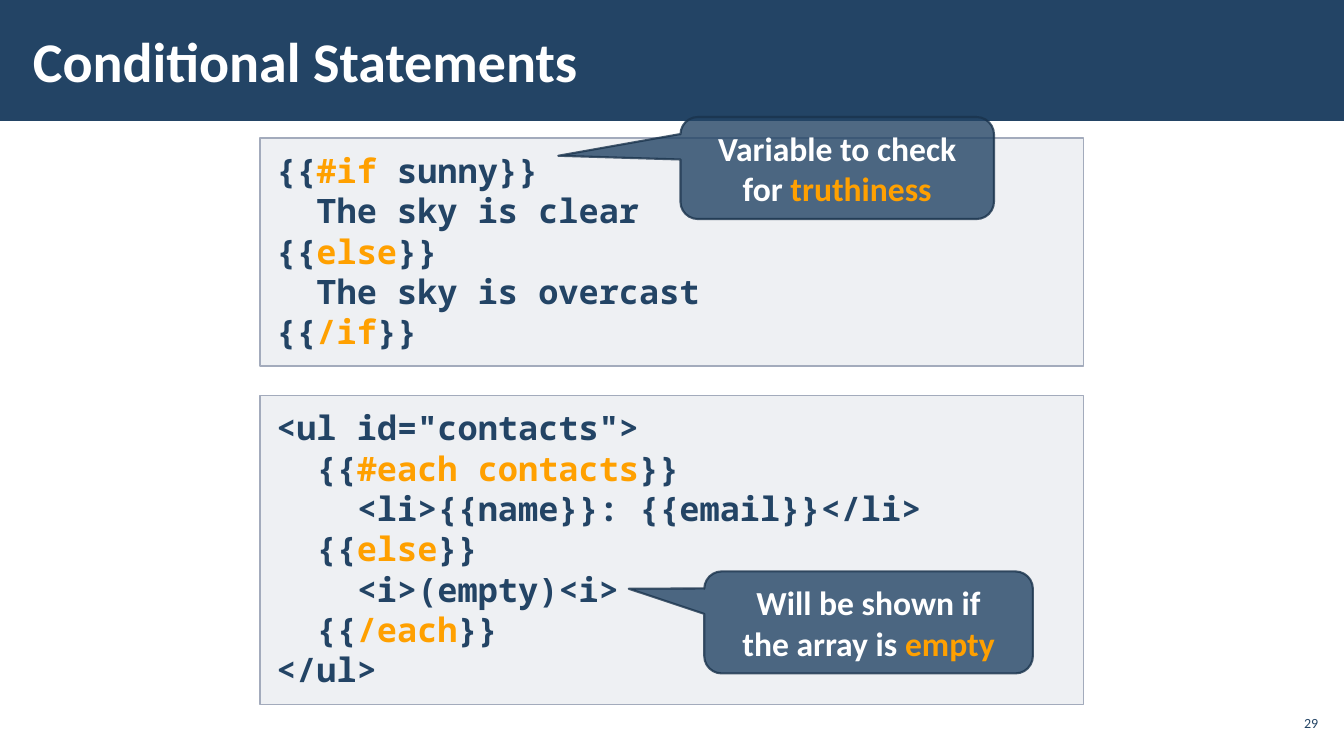
"""Build a slide on conditional statements in templates."""
import dataclasses

import lxml.etree
import pptx
import pptx.dml.color
import pptx.enum.shapes
import pptx.enum.text
import pptx.oxml.ns
import pptx.util

Cm = pptx.util.Cm
Kind = pptx.enum.shapes.MSO_SHAPE
Align = pptx.enum.text.PP_ALIGN
Anchor = pptx.enum.text.MSO_ANCHOR

NAVY, WHITE, ORANGE = "234465", "FFFFFF", "FFA000"
GREY, EDGE, DARK = "ADB4C3", "A3ABBC", "1A334C"
MARK = "|"


@dataclasses.dataclass
class Box:
    left: float
    top: float
    width: float
    height: float

    def place(self) -> tuple:
        return Cm(self.left), Cm(self.top), Cm(self.width), Cm(self.height)


@dataclasses.dataclass
class Style:
    font: str
    size: int
    color: str
    bold: bool = True
    align: Align = Align.LEFT
    anchor: Anchor = Anchor.MIDDLE
    inset: tuple = (0.25, 0.13)


@dataclasses.dataclass
class Code:
    top: float
    height: float
    lines: tuple


@dataclasses.dataclass
class Note:
    box: Box
    tip: tuple
    lines: tuple


TITLE = Style("Calibri", 40, WHITE, inset=(0.3, 0.1))
NUMBER = Style("Calibri", 10, NAVY, bold=False, align=Align.RIGHT, inset=(0.1, 0.1))
CODE = Style("Noto Sans Mono", 24, NAVY, anchor=Anchor.TOP, inset=(0.41, 0.3))
NOTE = Style("Calibri", 24, WHITE, align=Align.CENTER)

CODES = (
    Code(3.48, 5.74, (
        "{{|#if| sunny}}",
        "  The sky is clear",
        "{{|else|}}",
        "  The sky is overcast",
        "{{|/if|}}",
    )),
    Code(9.96, 7.8, (
        '<ul id="contacts">',
        "  {{|#each contacts|}}",
        "    <li>{{name}}: {{email}}</li>",
        "  {{|else|}}",
        "    <i>(empty)<i>",
        "  {{|/each|}}",
        "</ul>",
    )),
)
NOTES = (
    Note(Box(17.15, 2.95, 7.9, 2.57), (-0.89, -0.12, 0.17),
         ("Variable to check", "for |truthiness|")),
    Note(Box(17.75, 14.4, 8.28, 2.57), (-0.73, -0.33, 0.17),
         ("Will be shown if", "the array is |empty|")),
)


def paint(target, color: str, alpha: int = 100) -> None:
    target.solid()
    target.fore_color.rgb = pptx.dml.color.RGBColor.from_string(color)
    if alpha < 100:
        tag = pptx.oxml.ns.qn("a:srgbClr")
        node = next(target._xPr.iter(tag))
        lxml.etree.SubElement(node, pptx.oxml.ns.qn("a:alpha"), val=str(alpha * 1000))


def write(shape, lines: tuple, style: Style) -> None:
    frame = shape.text_frame
    frame.word_wrap = True
    frame.vertical_anchor = style.anchor
    side, end = style.inset
    frame.margin_left = frame.margin_right = Cm(side)
    frame.margin_top = frame.margin_bottom = Cm(end)
    for row, line in enumerate(lines):
        para = frame.add_paragraph() if row else frame.paragraphs[0]
        para.alignment = style.align
        para.font.name = style.font
        para.font.size = pptx.util.Pt(style.size)
        para.font.bold = style.bold
        paint(para.font.fill, style.color)
        for index, text in enumerate(line.split(MARK)):
            if text:
                run = para.add_run()
                run.text = text
                if index % 2:
                    paint(run.font.fill, ORANGE)


def add_shape(slide, kind: Kind, box: Box, color: str, alpha: int = 100):
    shape = slide.shapes.add_shape(kind, *box.place())
    shape.shadow.inherit = False
    paint(shape.fill, color, alpha)
    shape.line.fill.background()
    return shape


def add_text(slide, box: Box, text: str, style: Style) -> None:
    write(slide.shapes.add_textbox(*box.place()), (text,), style)


def add_code(slide, code: Code) -> None:
    box = Box(6.55, code.top, 20.75, code.height)
    shape = add_shape(slide, Kind.RECTANGLE, box, GREY, 20)
    paint(shape.line.fill, EDGE)
    shape.line.width = pptx.util.Pt(1)
    write(shape, code.lines, CODE)


def add_note(slide, note: Note) -> None:
    shape = add_shape(slide, Kind.ROUNDED_RECTANGULAR_CALLOUT, note.box, NAVY, 80)
    for index, value in enumerate(note.tip):
        shape.adjustments[index] = value
    paint(shape.line.fill, DARK, 80)
    shape.line.width = pptx.util.Pt(1.5)
    write(shape, note.lines, NOTE)


def main() -> None:
    deck = pptx.Presentation()
    deck.slide_width, deck.slide_height = Cm(33.87), Cm(19.05)
    slide = deck.slides.add_slide(deck.slide_layouts[6])
    add_shape(slide, Kind.RECTANGLE, Box(0, 0, 33.87, 3.05), NAVY)
    add_text(slide, Box(0.53, 0.28, 26.39, 2.46), "Conditional Statements", TITLE)
    add_text(slide, Box(32.13, 17.78, 1.19, 0.86), "29", NUMBER)
    for code, note in zip(CODES, NOTES):
        add_code(slide, code)
        add_note(slide, note)
    deck.save("out.pptx")


if __name__ == "__main__":
    main()
